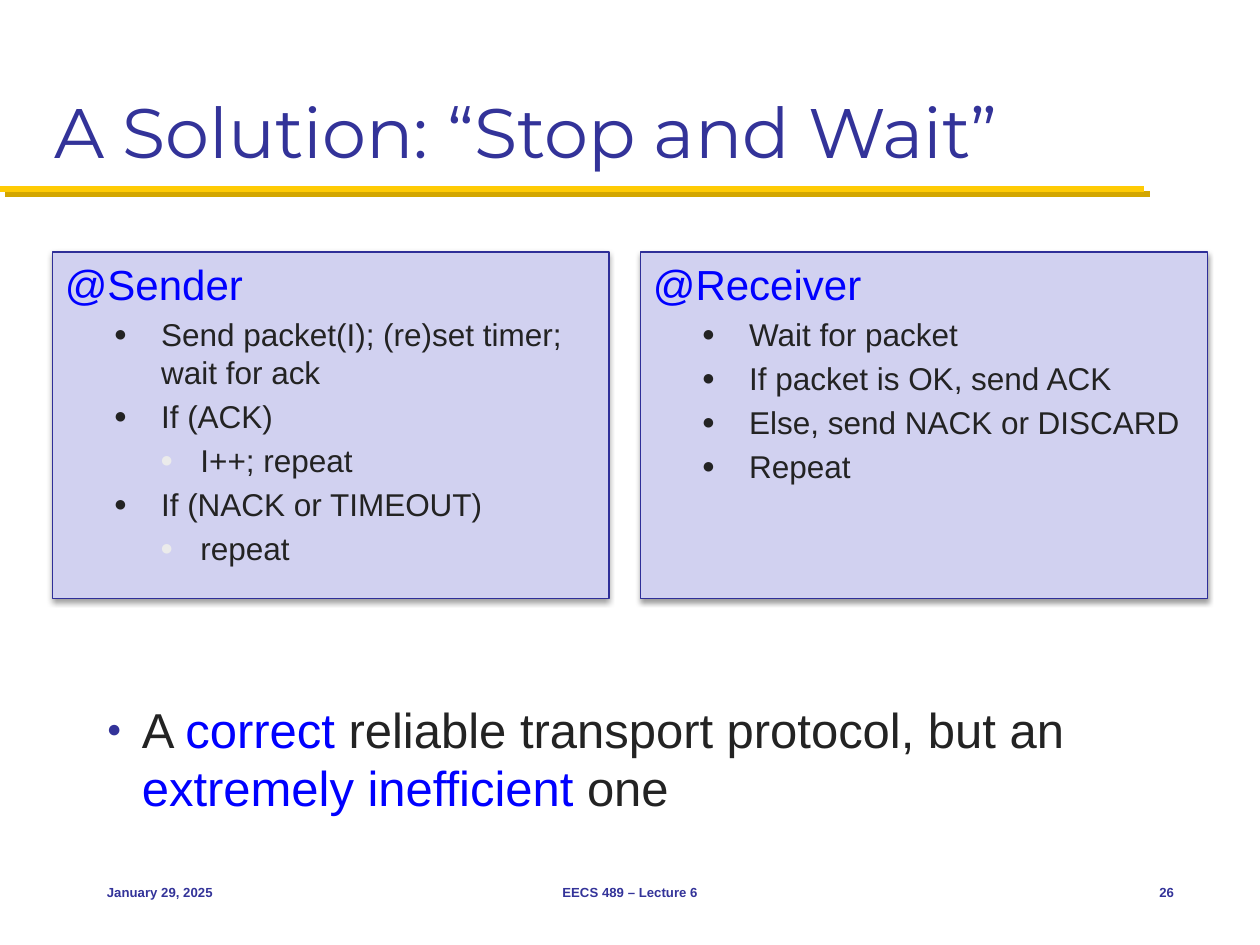
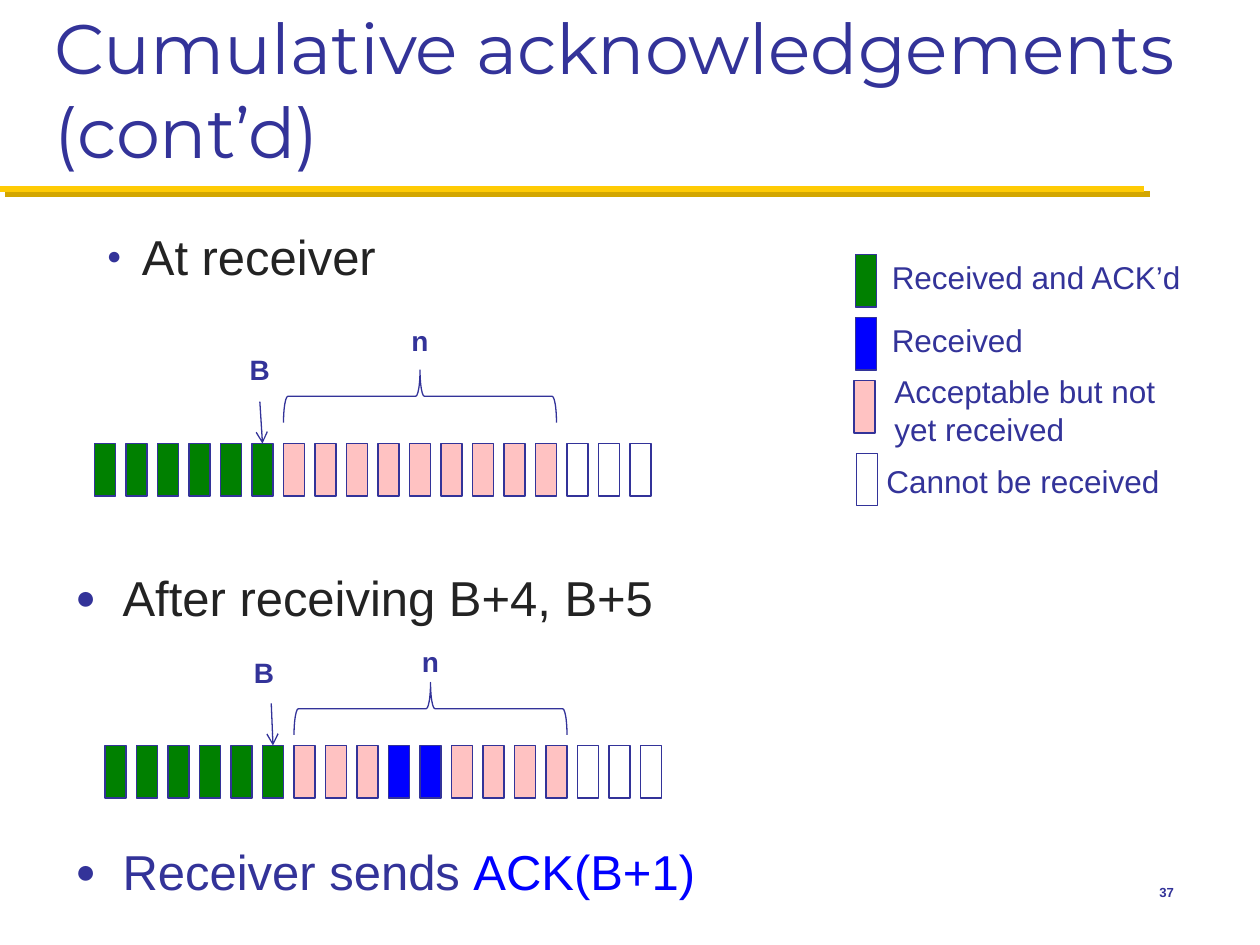
from lxml import etree
from pptx import Presentation
from pptx.dml.color import RGBColor
from pptx.enum.shapes import MSO_CONNECTOR, MSO_SHAPE
from pptx.enum.text import MSO_ANCHOR, MSO_AUTO_SIZE, PP_ALIGN
from pptx.oxml.ns import qn
from pptx.util import Pt

RECT, BRACE = MSO_SHAPE.RECTANGLE, MSO_SHAPE.LEFT_BRACE
LINE = MSO_CONNECTOR.STRAIGHT
TOP, MID, LOW = MSO_ANCHOR.TOP, MSO_ANCHOR.MIDDLE, MSO_ANCHOR.BOTTOM
LEFT, MIDDLE, RIGHT = PP_ALIGN.LEFT, PP_ALIGN.CENTER, PP_ALIGN.RIGHT
GROW, FIXED = MSO_AUTO_SIZE.SHAPE_TO_FIT_TEXT, MSO_AUTO_SIZE.NONE

PX = 6350  # EMU in one px, 144 px to the inch
COLORS = {"navy": "333399", "edge": "2F2F98", "ink": "232323", "blue": "0000FF",
          "pale": "EBEBEB", "panel": "D1D1F0", "gold": "FFCB05", "dark": "D3A600",
          "green": "008000", "pink": "FFC2C2", "white": "FFFFFF", "black": "000000"}
RGB = {name: RGBColor.from_string(code) for name, code in COLORS.items()}

# Text formats
TITLE = {"name": "Montserrat", "size": Pt(40)}
BODY = {"name": "Arial", "size": Pt(28)}
HEAD = {"name": "Arial", "size": Pt(24)}
ITEM = {"name": "Arial", "size": Pt(18)}
MARK = {"name": "Arial", "size": Pt(16), "bold": True}
FOOT = {"name": "Arial", "size": Pt(7.5), "bold": True}

# Bullets: margin px, hanging px, percent size, colour
POINT = (40, 40, 50, "navy")
WIDE = (54, 54, 70, "navy")
STEP = (110, 54, 70, "ink")
SUB = (155, 46, 70, "pale")


def write(shape, paras, anchor=TOP, align=LEFT, grow=False):
    """Fill a shape with paragraphs given as (format, bullet, runs)."""
    frame = shape.text_frame
    values = {"word_wrap": not grow, "vertical_anchor": anchor,
              "auto_size": GROW if grow else FIXED}
    for key, value in values.items():
        setattr(frame, key, value)
    for i, (style, bullet, runs) in enumerate(paras):
        para = frame.add_paragraph() if i else frame.paragraphs[0]
        para.alignment = align
        if i:
            para.space_before = Pt(3.6)
        if bullet:
            margin, hang, size, color = bullet
            props = para._p.get_or_add_pPr()
            props.set("marL", str(margin * PX))
            props.set("indent", str(-hang * PX))
            tint = etree.SubElement(props, qn("a:buClr"))
            etree.SubElement(tint, qn("a:srgbClr"), val=COLORS[color])
            etree.SubElement(props, qn("a:buSzPct"), val=str(size * 1000))
            etree.SubElement(props, qn("a:buFont"), typeface="Arial")
            etree.SubElement(props, qn("a:buChar"), char="●")
        for words, color in runs:
            if words == "\v":
                para.add_line_break()
                continue
            run = para.add_run()
            run.text = words
            for key, value in style.items():
                setattr(run.font, key, value)
            run.font.color.rgb = RGB[color]


def draw(shape, line, width=0.75, fill=None, shade=None):
    """Set line, fill and shadow; shade is (colour, alpha, blur, distance, angle)."""
    shape.line.color.rgb = RGB[line]
    shape.line.width = Pt(width)
    props = shape._element.spPr
    if hasattr(shape, "fill"):
        shape.shadow.inherit = False
        if fill:
            shape.fill.solid()
            shape.fill.fore_color.rgb = RGB[fill]
        else:
            shape.fill.background()
        effects = props.find(qn("a:effectLst"))
    else:
        effects = etree.SubElement(props, qn("a:effectLst"))
    if shade:
        color, alpha, blur, gap, angle = shade
        cast = etree.SubElement(effects, qn("a:outerShdw"), blurRad=str(Pt(blur)),
                                dist=str(Pt(gap)), dir=str(angle * 60000),
                                algn="tl", rotWithShape="0")
        tint = etree.SubElement(cast, qn("a:srgbClr"), val=COLORS[color])
        etree.SubElement(tint, qn("a:alpha"), val=str(alpha * 1000))


deck = Presentation()
deck.slide_width, deck.slide_height = 1440 * PX, 1080 * PX

# Shared title, band and footers
date = (108, 300, LEFT, "January 29, 2025")
course = (492, 456, MIDDLE, "EECS 489 – Lecture 6")
pages = [("A Solution: “Stop and Wait”", [date, course, (1260, 96, RIGHT, "26")]),
         ("Cumulative acknowledgements (cont’d)", [(1260, 96, RIGHT, "37")])]
boards = []
for title, feet in pages:
    shapes = deck.slides.add_slide(deck.slide_layouts[6]).shapes
    boards.append(shapes)
    band = shapes.add_connector(LINE, 0, 216 * PX, 1308 * PX, 216 * PX)
    draw(band, "gold", 3.5, shade=("dark", 100, 0, 4.2, 45))
    box = shapes.add_textbox(48 * PX, 24 * PX, 1344 * PX, 180 * PX)
    write(box, [(TITLE, None, [(title, "navy")])], LOW)
    for x, w, align, words in feet:
        box = shapes.add_textbox(x * PX, 984 * PX, w * PX, 72 * PX)
        write(box, [(FOOT, None, [(words, "navy")])], MID, align)
first, second = boards

# Large bullet lines on both slides
lines = [
    (first, (108, 792, 1272, 156), POINT,
     [("A ", "ink"), ("correct", "blue"), (" reliable transport protocol, but an ", "ink"),
      ("extremely inefficient ", "blue"), ("one", "ink")]),
    (second, (108, 252, 1248, 696), POINT, [("At receiver", "ink")]),
    (second, (72, 642, 1296, 89), WIDE, [("After receiving B+4, B+5", "ink")]),
    (second, (72, 955, 1296, 89), WIDE, [("Receiver sends ", "navy"), ("ACK(B+1)", "blue")]),
]
for shapes, area, bullet, runs in lines:
    box = shapes.add_textbox(*[n * PX for n in area])
    write(box, [(BODY, bullet, runs)])

# Sender and receiver panels
panels = [
    (60, 636, "@Sender",
     [(STEP, "Send packet(I); (re)set timer; wait for ack"), (STEP, "If (ACK)"),
      (SUB, "I++; repeat"), (STEP, "If (NACK or TIMEOUT)"), (SUB, "repeat")]),
    (732, 648, "@Receiver",
     [(STEP, "Wait for packet"), (STEP, "If packet is OK, send ACK"),
      (STEP, "Else, send NACK or DISCARD"), (STEP, "Repeat")]),
]
for x, w, head, steps in panels:
    panel = first.add_shape(RECT, x * PX, 288 * PX, w * PX, 396 * PX)
    draw(panel, "edge", fill="panel", shade=("black", 38, 3.1, 1.6, 90))
    paras = [(HEAD, None, [(head, "blue")])]
    paras += [(ITEM, bullet, [(words, "ink")]) for bullet, words in steps]
    write(panel, paras)

# Packet windows: row start, brace top, label places, arrow ends
cells, labels = [], []
before, after = ["green"] * 6, ["white"] * 3
rows = [
    (108, 507, before + ["pink"] * 9 + after, 297, (456, 363), (271, 396), (297, 459, 300)),
    (120, 852, before + ["pink"] * 3 + ["blue"] * 2 + ["pink"] * 4 + after,
     654, (468, 729), (276, 742), (310, 804, 312)),
]
for x, y, colors, top, size, base, (x1, y1, x2) in rows:
    cells += [(x + 36 * i, y, color) for i, color in enumerate(colors)]
    labels += [(*size, 53, 63, MARK, ["n"]), (*base, 53, 63, MARK, ["B"])]
    brace = second.add_shape(BRACE, (x + 342) * PX, top * PX, 60 * PX, 312 * PX)
    brace.rotation = 90
    draw(brace, "navy")
    arrow = second.add_connector(LINE, x1 * PX, y1 * PX, x2 * PX, y * PX)
    draw(arrow, "navy")
    etree.SubElement(arrow.line._get_or_add_ln(), qn("a:tailEnd"), type="arrow")

# Legend
cells += [(978, 291, "green"), (978, 363, "blue"), (976, 435, "pink"), (979, 518, "white")]
labels += [
    (1005, 288, 363, 58, ITEM, ["Received and ACK’d"]),
    (1005, 360, 180, 58, ITEM, ["Received"]),
    (1008, 418, 333, 102, ITEM, ["Acceptable but not", "\v", "yet received"]),
    (999, 521, 344, 58, ITEM, ["Cannot be received"]),
]
for x, y, color in cells:
    cell = second.add_shape(RECT, x * PX, y * PX, 24 * PX, 60 * PX)
    draw(cell, "navy", fill=color)
for *area, style, words in labels:
    box = second.add_textbox(*[n * PX for n in area])
    write(box, [(style, None, [(part, "navy") for part in words])], grow=True)

deck.save("out.pptx")
